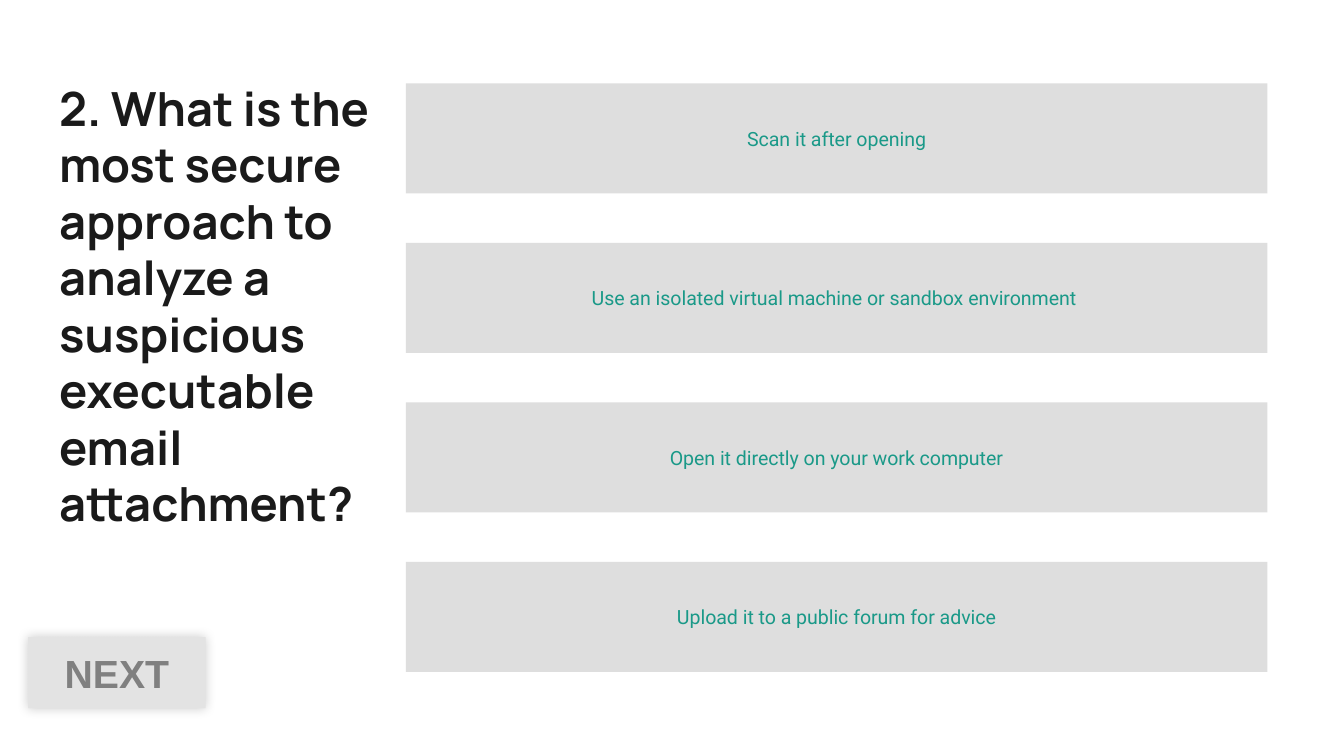
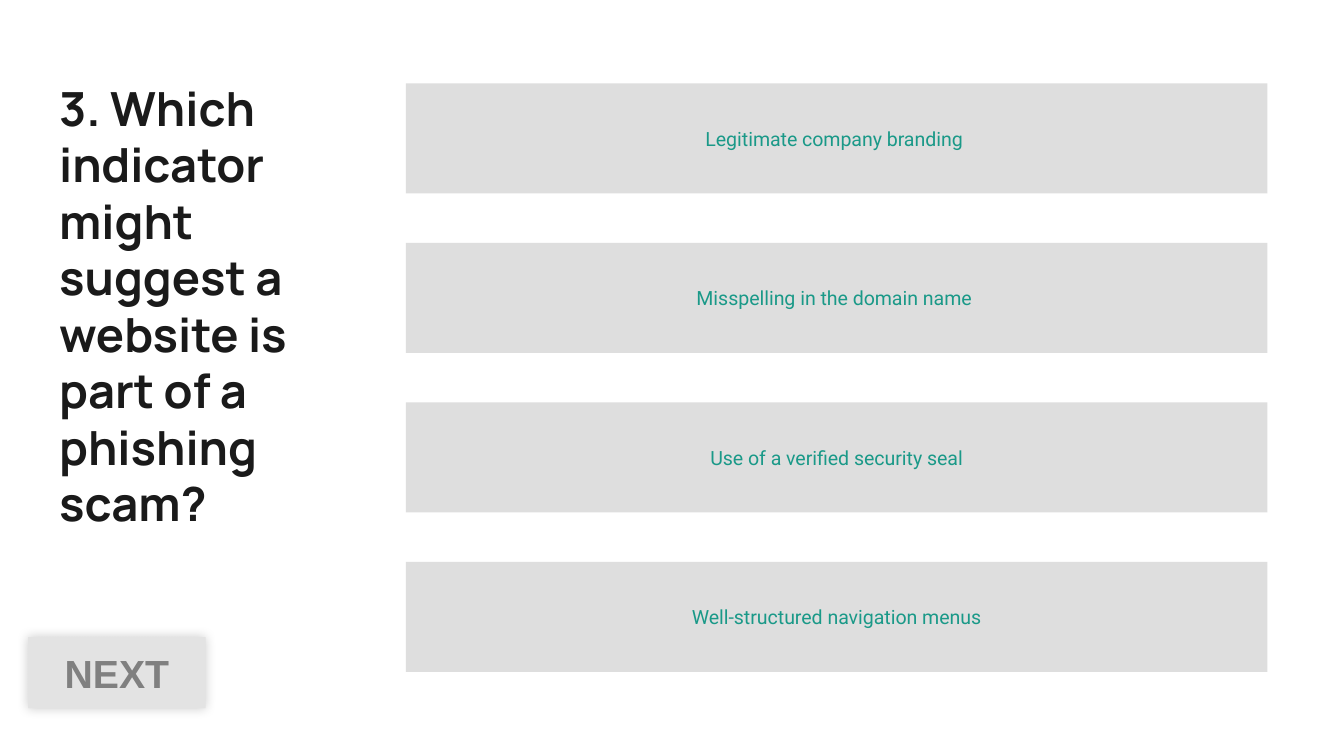
"""Build two security quiz slides with a question, four answers and a button."""
from dataclasses import dataclass

import lxml.etree
import pptx
import pptx.dml.color
import pptx.enum.shapes
import pptx.enum.text
import pptx.oxml.ns
import pptx.util

Inches = pptx.util.Inches


@dataclass(frozen=True)
class TextStyle:
    """Font, size, colour and weight of a piece of text."""
    font: str
    size: float
    color: str
    bold: bool = False


@dataclass(frozen=True)
class Theme:
    """Colours and type styles shared by the slides."""
    background: str = "FFFFFF"
    answer_fill: str = "DEDEDE"
    button_fill: str = "E3E3E3"
    shadow: str = "000000"
    question: TextStyle = TextStyle("Manrope", 25.2, "1A1A1A", True)
    answer: TextStyle = TextStyle("Roboto", 10.5, "1A9988")
    button: TextStyle = TextStyle("Arial", 21, "808080", True)


THEME = Theme()
SLIDE_WIDTH = 10
SLIDE_HEIGHT = SLIDE_WIDTH * 9 / 16
ANSWER_LEFT, ANSWER_WIDTH, ANSWER_HEIGHT = 3.02, 6.41, 0.82
FIRST_ANSWER_TOP, LAST_ANSWER_TOP = 0.62, 4.18

QUIZ = [
    (
        "2. What is the most secure approach to analyze a suspicious "
        "executable email attachment?",
        (2.56, 4.06),
        [
            "Scan it after opening",
            "Use an isolated virtual machine or sandbox environment ",
            "Open it directly on your work computer",
            "Upload it to a public forum for advice",
        ],
    ),
    (
        "3. Which indicator might suggest a website is part of a phishing scam?",
        (2.52, 3.87),
        [
            "Legitimate company branding ",
            "Misspelling in the domain name ",
            "Use of a verified security seal",
            "Well-structured navigation menus",
        ],
    ),
]


def rgb(color):
    """Turn a hex string into a colour."""
    return pptx.dml.color.RGBColor.from_string(color)


def add_run(paragraph, text, style):
    """Add one styled run to a paragraph."""
    run = paragraph.add_run()
    run.text = text
    run.font.name = style.font
    run.font.size = pptx.util.Pt(style.size)
    run.font.bold = style.bold
    run.font.color.rgb = rgb(style.color)


def add_panel(slide, box, fill, text, style):
    """Add a flat rectangle with centred text."""
    panel = slide.shapes.add_shape(
        pptx.enum.shapes.MSO_SHAPE.RECTANGLE, *map(Inches, box))
    panel.shadow.inherit = False
    panel.fill.solid()
    panel.fill.fore_color.rgb = rgb(fill)
    panel.line.fill.background()
    frame = panel.text_frame
    frame.word_wrap = True
    frame.vertical_anchor = pptx.enum.text.MSO_ANCHOR.MIDDLE
    paragraph = frame.paragraphs[0]
    paragraph.alignment = pptx.enum.text.PP_ALIGN.CENTER
    add_run(paragraph, text, style)
    return panel


def add_soft_shadow(panel):
    """Give a panel a faint blurred shadow all around."""
    qn = pptx.oxml.ns.qn
    effects = panel.element.spPr.find(qn("a:effectLst"))
    shadow = lxml.etree.SubElement(
        effects, qn("a:outerShdw"), blurRad=str(pptx.util.Pt(6)), dist="0",
        dir=str(315 * 60000), algn="ctr", rotWithShape="0")
    color = lxml.etree.SubElement(shadow, qn("a:srgbClr"), val=THEME.shadow)
    lxml.etree.SubElement(color, qn("a:alpha"), val="20000")


def set_question(slide, text, size):
    """Place and fill the title placeholder."""
    title = slide.shapes.title
    title.left, title.top = Inches(0.34), Inches(0.49)
    title.width, title.height = map(Inches, size)
    frame = title.text_frame
    frame.margin_left = frame.margin_right = Inches(0.1)
    frame.margin_top = frame.margin_bottom = Inches(0.1)
    frame.word_wrap = True
    frame.auto_size = pptx.enum.text.MSO_AUTO_SIZE.NONE
    frame.vertical_anchor = pptx.enum.text.MSO_ANCHOR.TOP
    paragraph = frame.paragraphs[0]
    paragraph.alignment = pptx.enum.text.PP_ALIGN.LEFT
    paragraph.line_spacing = 1.0
    add_run(paragraph, text, THEME.question)


def add_answers(slide, answers):
    """Stack the answers at equal steps."""
    step = (LAST_ANSWER_TOP - FIRST_ANSWER_TOP) / (len(answers) - 1)
    for row, answer in enumerate(answers):
        box = (ANSWER_LEFT, FIRST_ANSWER_TOP + row * step,
               ANSWER_WIDTH, ANSWER_HEIGHT)
        add_panel(slide, box, THEME.answer_fill, answer, THEME.answer)


def add_next_button(slide):
    """Add the button at the lower left."""
    button = add_panel(slide, (0.21, 4.74, 1.32, 0.53), THEME.button_fill,
                       "NEXT", THEME.button)
    add_soft_shadow(button)


def add_question_slide(deck, question, question_size, answers):
    """Add one quiz slide."""
    slide = deck.slides.add_slide(deck.slide_layouts[5])
    slide.background.fill.solid()
    slide.background.fill.fore_color.rgb = rgb(THEME.background)
    set_question(slide, question, question_size)
    add_answers(slide, answers)
    add_next_button(slide)


def main():
    """Build and save the deck."""
    deck = pptx.Presentation()
    deck.slide_width = Inches(SLIDE_WIDTH)
    deck.slide_height = Inches(SLIDE_HEIGHT)
    for question, question_size, answers in QUIZ:
        add_question_slide(deck, question, question_size, answers)
    deck.save("out.pptx")


if __name__ == "__main__":
    main()
